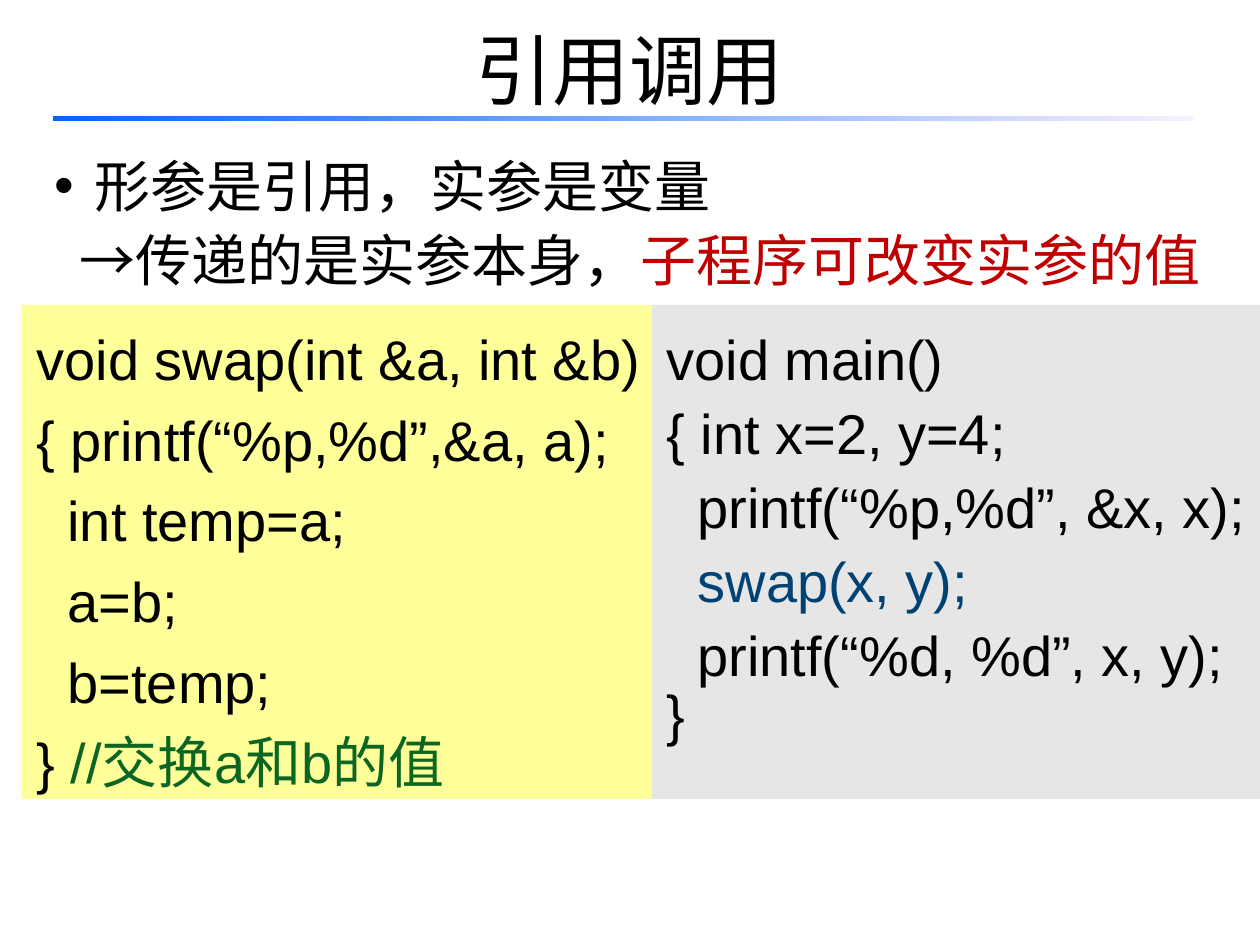
from lxml import etree
from pptx import Presentation
from pptx.dml.color import RGBColor
from pptx.enum.shapes import MSO_SHAPE
from pptx.enum.text import MSO_ANCHOR, MSO_AUTO_SIZE, PP_ALIGN
from pptx.oxml.ns import qn
from pptx.util import Inches, Pt

RECTANGLE = MSO_SHAPE.RECTANGLE
TOP, MIDDLE = MSO_ANCHOR.TOP, MSO_ANCHOR.MIDDLE
LEFT, CENTER = PP_ALIGN.LEFT, PP_ALIGN.CENTER
NO_AUTOFIT = MSO_AUTO_SIZE.NONE

WIDTH, HEIGHT = 10, 7.5
FONT = "Arial"
BLACK, RED, GREEN, NAVY = "000000", "C00000", "0B6523", "004274"
YELLOW, GREY = "FFFF99", "E6E6E6"
RULE_START, RULE_END = "0066FF", "F7EFFF"

SWAP_CODE = [
    ([("void swap(int &a, int &b)", BLACK)], 1.2),
    ([("{ printf(“%p,%d”,&a, a);", BLACK)], 1.2),
    ([("  int temp=a;", BLACK)], 1.2),
    ([("  a=b;", BLACK)], 1.2),
    ([("  b=temp;", BLACK)], 1.2),
    ([("} ", BLACK), ("//交换a和b的值", GREEN)], 1.2),
]
MAIN_CODE = [
    ([("void main()", BLACK)], 1.2),
    ([("{ int x=2, y=4;", BLACK)], 1.1),
    ([("  printf(“%p,%d”, &x, x);", BLACK)], 1.1),
    ([("  swap(x, y);", NAVY)], 1.1),
    ([("  printf(“%d, %d”, x, y);", BLACK)], 1.1),
    ([("}", BLACK)], 0.9),
]
POINTS = [
    ([("形参是引用，实参是变量", BLACK)], 1.1),
    ([("→传递的是实参本身，", BLACK), ("子程序可改变实参的值", RED)], 1.1),
]


def colour(hex_value):
    return RGBColor.from_string(hex_value)


def place(shape, box):
    shape.left, shape.top, shape.width, shape.height = map(Inches, box)


def add_rectangle(slide, box):
    rectangle = slide.shapes.add_shape(RECTANGLE, *map(Inches, box))
    rectangle.shadow.inherit = False
    rectangle.line.fill.background()
    return rectangle


def set_indent(paragraph, margin, first_line=0, bullet=None):
    properties = paragraph._p.get_or_add_pPr()
    properties.set("marL", str(Inches(margin)))
    properties.set("indent", str(Inches(first_line)))
    if bullet:
        etree.SubElement(properties, qn("a:buChar")).set("char", bullet)
    else:
        etree.SubElement(properties, qn("a:buNone"))


def write_lines(frame, lines, indents):
    """Write one paragraph per line, each with its own indent."""
    frame.word_wrap = True
    frame.auto_size = NO_AUTOFIT
    frame.vertical_anchor = TOP
    for index, ((pieces, spacing), indent) in enumerate(zip(lines, indents)):
        paragraph = frame.add_paragraph() if index else frame.paragraphs[0]
        set_indent(paragraph, *indent)
        paragraph.alignment = LEFT
        paragraph.line_spacing = spacing
        paragraph.space_before = Pt(0)
        paragraph.font.name, paragraph.font.size = FONT, Pt(32)
        for text, hex_value in pieces:
            run = paragraph.add_run()
            run.text = text
            run.font.color.rgb = colour(hex_value)


def add_heading(slide, box):
    left, top, width, height = box
    title = slide.shapes.title
    place(title, box)
    frame = title.text_frame
    frame.text = "引用调用"
    frame.auto_size = NO_AUTOFIT
    frame.vertical_anchor = MIDDLE
    paragraph = frame.paragraphs[0]
    paragraph.alignment = CENTER
    paragraph.font.name, paragraph.font.size = FONT, Pt(44)
    paragraph.font.color.rgb = colour(BLACK)

    # Fading rule under the title
    rule = add_rectangle(slide, (left - 0.08, top + 0.8 * height,
                                 width + 0.05, 0.04))
    rule.fill.gradient()
    rule.fill.gradient_angle = 0
    for stop, position, shade in zip(rule.fill.gradient_stops, (0, 1),
                                     (RULE_START, RULE_END)):
        stop.position = position
        stop.color.rgb = colour(shade)


def add_points(slide, box):
    body = slide.placeholders[1]
    place(body, box)
    write_lines(body.text_frame, POINTS, [(0.32, -0.32, "•"), (0.2,)])


def add_code_panel(slide, box, lines, background):
    panel = add_rectangle(slide, box)
    panel.fill.solid()
    panel.fill.fore_color.rgb = colour(background)
    frame = panel.text_frame
    frame.margin_left = frame.margin_right = 0
    frame.margin_top = frame.margin_bottom = Inches(0.05)
    write_lines(frame, lines, [(0.12,)] * len(lines))


def main():
    deck = Presentation()
    deck.slide_width, deck.slide_height = Inches(WIDTH), Inches(HEIGHT)
    slide = deck.slides.add_slide(deck.slide_layouts[1])

    add_heading(slide, (0.05 * WIDTH, -0.08, 0.9 * WIDTH, 1.25))
    add_points(slide, (0.33, 1.1, WIDTH - 0.33, 1.24))

    # Two code panels side by side
    panel_left, panel_top, panel_width, panel_height = 0.17, 2.42, WIDTH / 2, 3.92
    add_code_panel(slide, (panel_left + panel_width, panel_top,
                           panel_width + 0.08, panel_height), MAIN_CODE, GREY)
    add_code_panel(slide, (panel_left, panel_top, panel_width, panel_height),
                   SWAP_CODE, YELLOW)

    deck.save("out.pptx")


if __name__ == "__main__":
    main()
